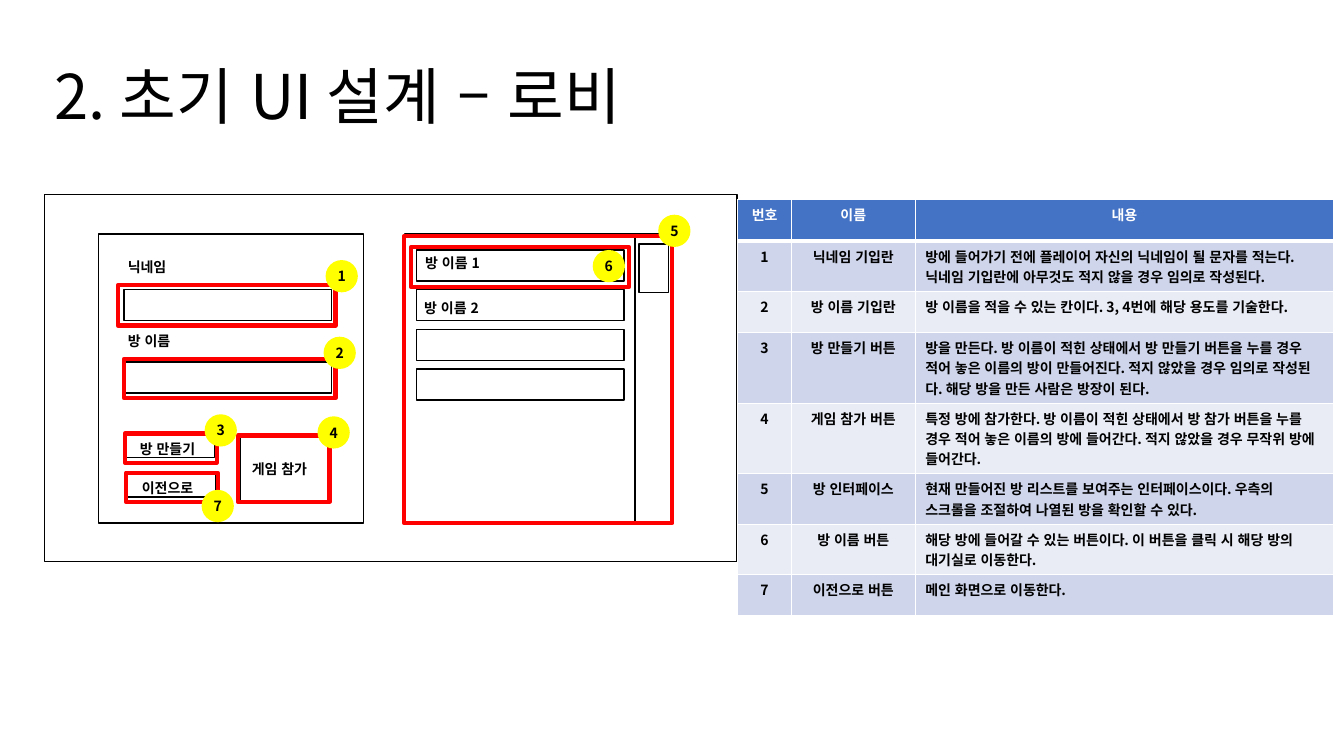
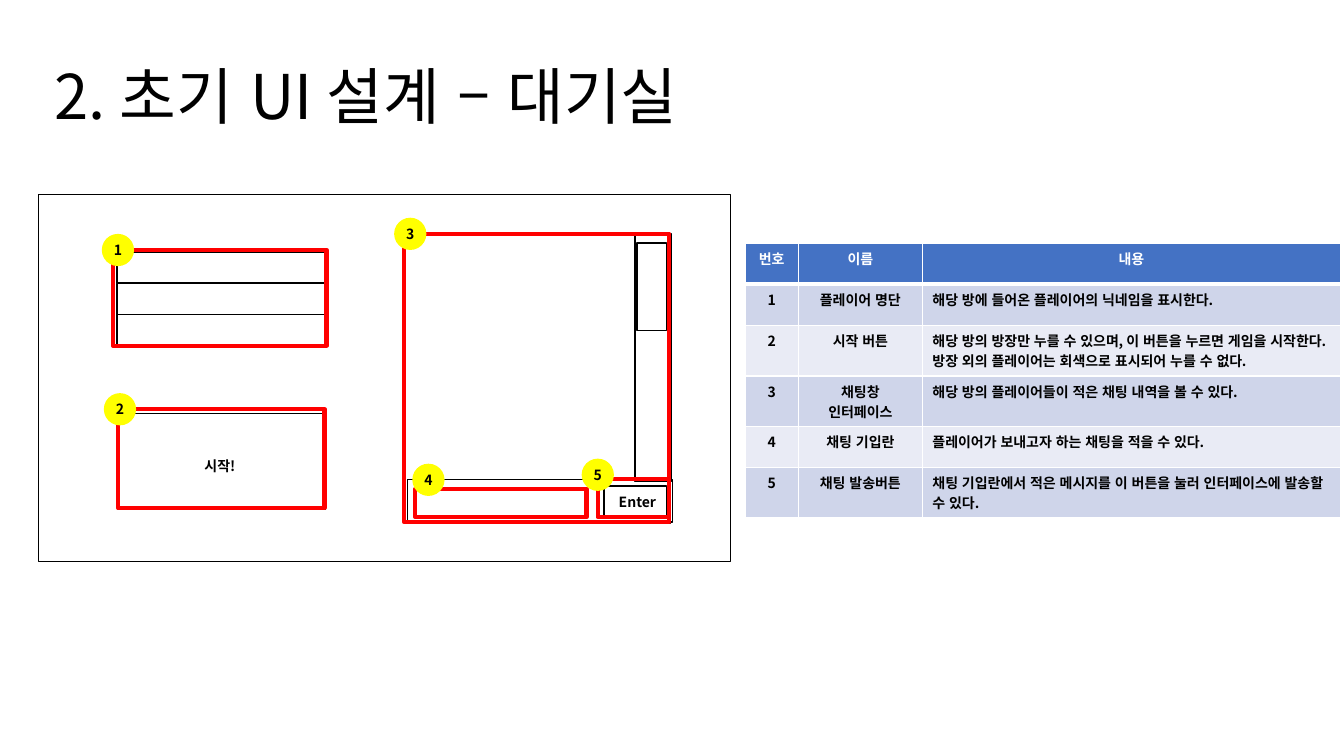
"""Build two slides that set out the lobby and waiting-room screens of a game."""

import pptx
import pptx.dml.color
import pptx.enum.lang
import pptx.enum.shapes
import pptx.enum.text
import pptx.oxml
import pptx.oxml.ns
import pptx.util
import lxml.etree

RGB = pptx.dml.color.RGBColor
SHAPE = pptx.enum.shapes.MSO_SHAPE
ALIGN = pptx.enum.text.PP_ALIGN
ANCHOR = pptx.enum.text.MSO_ANCHOR

BLACK = RGB(0x00, 0x00, 0x00)
WHITE = RGB(0xFF, 0xFF, 0xFF)
RED = RGB(0xFF, 0x00, 0x00)
YELLOW = RGB(0xFF, 0xFF, 0x00)
BLUE = RGB(0x44, 0x72, 0xC4)
BANDS = RGB(0xCF, 0xD5, 0xEA), RGB(0xE9, 0xEB, 0xF5)

FONT = "Noto Sans CJK KR"
COLS, ROWS = 133.33, 75
CELL = pptx.util.Inches(0.1)
BADGE = 3.2
HEADS = "번호", "이름", "내용"
WIDTHS = 5.3, 12.3, 41.5
HEIGHT, LINE, PAD = 4.1, 2, 1

LOBBY = [
    (2, "닉네임 기입란", "방에 들어가기 전에 플레이어 자신의 닉네임이 될 문자를 적는다. "
     "닉네임 기입란에 아무것도 적지 않을 경우 임의로 작성된다."),
    (1, "방 이름 기입란", "방 이름을 적을 수 있는 칸이다. 3, 4번에 해당 용도를 기술한다."),
    (3, "방 만들기 버튼", "방을 만든다. 방 이름이 적힌 상태에서 방 만들기 버튼을 누를 경우 "
     "적어 놓은 이름의 방이 만들어진다. 적지 않았을 경우 임의로 작성된다. "
     "해당 방을 만든 사람은 방장이 된다."),
    (3, "게임 참가 버튼", "특정 방에 참가한다. 방 이름이 적힌 상태에서 방 참가 버튼을 누를 경우 "
     "적어 놓은 이름의 방에 들어간다. 적지 않았을 경우 무작위 방에 들어간다."),
    (2, "방 인터페이스", "현재 만들어진 방 리스트를 보여주는 인터페이스이다. "
     "우측의 스크롤을 조절하여 나열된 방을 확인할 수 있다."),
    (2, "방 이름 버튼", "해당 방에 들어갈 수 있는 버튼이다. "
     "이 버튼을 클릭 시 해당 방의 대기실로 이동한다."),
    (1, "이전으로 버튼", "메인 화면으로 이동한다."),
]
WAITING = [
    (1, "플레이어 명단", "해당 방에 들어온 플레이어의 닉네임을 표시한다."),
    (2, "시작 버튼", "해당 방의 방장만 누를 수 있으며, 이 버튼을 누르면 게임을 시작한다. "
     "방장 외의 플레이어는 회색으로 표시되어 누를 수 없다."),
    (2, "채팅창 인터페이스", "해당 방의 플레이어들이 적은 채팅 내역을 볼 수 있다."),
    (1, "채팅 기입란", "플레이어가 보내고자 하는 채팅을 적을 수 있다."),
    (2, "채팅 발송버튼", "채팅 기입란에서 적은 메시지를 이 버튼을 눌러 인터페이스에 발송할 수 있다."),
]


def grid(*cells):
    """Turn counts of grid cells into lengths."""
    return [round(cell * CELL) for cell in cells]


def write(frame, text, size=10, color=BLACK, bold=True, align=ALIGN.LEFT):
    """Put one styled paragraph in a text frame."""
    frame.word_wrap = True
    para = frame.paragraphs[0]
    para.text = text
    para.alignment = align
    font = para.font
    font.size = pptx.util.Pt(size)
    font.bold = bold
    font.color.rgb = color
    font.name = FONT
    font.language_id = pptx.enum.lang.MSO_LANGUAGE_ID.KOREAN
    props = para._p.find(".//" + pptx.oxml.ns.qn("a:defRPr"))
    lxml.etree.SubElement(props, pptx.oxml.ns.qn("a:ea"), typeface=FONT)
    return para


def label(slide, left, top, width, text):
    """Add a small bold caption."""
    box = slide.shapes.add_textbox(*grid(left, top, width, 2.7))
    write(box.text_frame, text)


def title(slide, text):
    """Add the slide title."""
    box = slide.shapes.add_textbox(*grid(4.4, 2.6, 85.4, 14.5))
    box.text_frame.vertical_anchor = ANCHOR.MIDDLE
    write(box.text_frame, text, 44, bold=False).line_spacing = 0.9


def outline(slide, box, color=BLACK, weight=1):
    """Draw an unfilled rectangle."""
    rect = slide.shapes.add_shape(SHAPE.RECTANGLE, *grid(*box))
    rect.shadow.inherit = False
    rect.fill.background()
    rect.line.color.rgb = color
    rect.line.width = pptx.util.Pt(weight)


def badge(slide, left, top, number):
    """Draw a numbered yellow disc."""
    disc = slide.shapes.add_shape(SHAPE.OVAL, *grid(left, top, BADGE, BADGE))
    disc.shadow.inherit = False
    disc.fill.solid()
    disc.fill.fore_color.rgb = YELLOW
    disc.line.fill.background()
    frame = disc.text_frame
    frame.margin_left = frame.margin_right = 0
    frame.margin_top = frame.margin_bottom = 0
    frame.vertical_anchor = ANCHOR.MIDDLE
    write(frame, str(number), align=ALIGN.CENTER)


def border(cell, base):
    """Give a cell white edges, with its own weight at the base."""
    props = cell._tc.get_or_add_tcPr()
    for side, weight in ("L", 1), ("R", 1), ("T", 1), ("B", base):
        props.append(pptx.oxml.parse_xml(
            f'<a:ln{side} {pptx.oxml.ns.nsdecls("a")} w="{pptx.util.Pt(weight)}">'
            f'<a:solidFill><a:srgbClr val="{WHITE}"/></a:solidFill></a:ln{side}>'))


def table(slide, left, top, items):
    """Add the numbered table of screen parts, each row as tall as its lines."""
    rows = [HEADS] + [(str(n), *item[1:]) for n, item in enumerate(items, 1)]
    highs = [HEIGHT] + [max(HEIGHT, PAD + LINE * item[0]) for item in items]
    place = grid(left, top, sum(WIDTHS), sum(highs))
    parts = slide.shapes.add_table(len(rows), len(HEADS), *place).table
    for col, width in zip(parts.columns, grid(*WIDTHS)):
        col.width = width
    for line, high in zip(parts.rows, grid(*highs)):
        line.height = high
    for r, row in enumerate(rows):
        for c, text in enumerate(row):
            cell = parts.cell(r, c)
            border(cell, 1 if r else 3)
            cell.fill.solid()
            cell.fill.fore_color.rgb = BANDS[(r - 1) % 2] if r else BLUE
            write(cell.text_frame, text, color=BLACK if r else WHITE,
                  align=ALIGN.LEFT if r and c == 2 else ALIGN.CENTER)


def screen(deck, name, left, boxes, labels, marks):
    """Add a slide with a wireframe and its numbered marks."""
    slide = deck.slides.add_slide(deck.slide_layouts[6])
    title(slide, f"2. 초기 UI 설계 – {name}")
    for box in [(left, 19.3, 68.7, 36.4), *boxes]:
        outline(slide, box)
    for item in labels:
        label(slide, *item)
    for box, _ in marks:
        outline(slide, box, RED, 3)
    for number, (_, spot) in enumerate(marks, 1):
        badge(slide, *spot, number)
    return slide


def lobby(deck):
    """Add the lobby slide."""
    boxes = [
        (9.8, 23.2, 26.3, 28.7), (40.2, 23.2, 26.3, 28.7),
        (12.3, 28.7, 20.6, 3.1), (12.3, 35.9, 20.6, 3.1),
        (12.3, 43.2, 9, 2.2), (12.4, 47.1, 9, 2.2), (23.8, 43.4, 9, 6.4),
        (63, 23.2, 3.6, 28.7), (63.4, 24.2, 2.9, 4.8),
    ]
    boxes += [(41.3, 24.8 + 3.93 * n, 20.6, 3.1) for n in range(4)]
    labels = [
        (11.7, 25.2, 6.3, "닉네임"), (11.7, 32.5, 7.5, "방 이름"),
        (12.9, 43.2, 8.3, "방 만들기"), (24, 45.2, 8.3, "게임 참가"),
        (13.1, 47.1, 8.3, "이전으로"),
        (41.2, 24.8, 9.1, "방 이름 1"), (41.1, 29.2, 9.1, "방 이름 2"),
    ]
    marks = [
        ((11.7, 28.3, 21.6, 4), (32.3, 25.8)),
        ((12.3, 35.6, 21, 3.9), (32.1, 33.4)),
        ((12.4, 43, 9.1, 2.9), (20.3, 41.1)),
        ((23.6, 43.2, 9.1, 6.6), (31.5, 41.3)),
        ((40.1, 23.4, 26.6, 28.5), (65.3, 21.3)),
        ((40.8, 24.5, 21.6, 4), (58.8, 24.8)),
        ((12.5, 46.9, 9.1, 2.9), (20, 48.6)),
    ]
    slide = screen(deck, "로비", 4.4, boxes, labels, marks)
    table(slide, 73.2, 19.8, LOBBY)


def waiting(deck):
    """Add the waiting-room slide."""
    boxes = [
        (11.7, 41, 20.6, 9.5), (40.2, 23.2, 26.3, 28.7),
        (63, 23.2, 3.6, 24.6), (63.2, 24.1, 2.9, 8.7),
        (40.4, 47.6, 26.3, 4.2), (59.9, 48.2, 6.2, 3.1),
    ]
    boxes += [(11.6, 25 + 3.1 * n, 20.6, 3.1) for n in range(3)]
    labels = [(60.4, 48.5, 6.3, "Enter"), (19.3, 44.9, 8.3, "시작!")]
    marks = [
        ((11.2, 24.8, 21.2, 9.5), (10.1, 23.2)),
        ((11.7, 40.6, 20.5, 9.8), (10.3, 39)),
        ((40.1, 23.2, 26.3, 28.6), (39.1, 21.6)),
        ((41.2, 48.5, 17, 2.8), (40.9, 46)),
        ((59.3, 47.5, 7.1, 3.8), (57.7, 45.5)),
    ]
    slide = screen(deck, "대기실", 3.8, boxes, labels, marks)
    table(slide, 73.9, 24.1, WAITING)


def main():
    """Build and save the deck."""
    deck = pptx.Presentation()
    deck.slide_width, deck.slide_height = grid(COLS, ROWS)
    lobby(deck)
    waiting(deck)
    deck.save("out.pptx")


if __name__ == "__main__":
    main()
